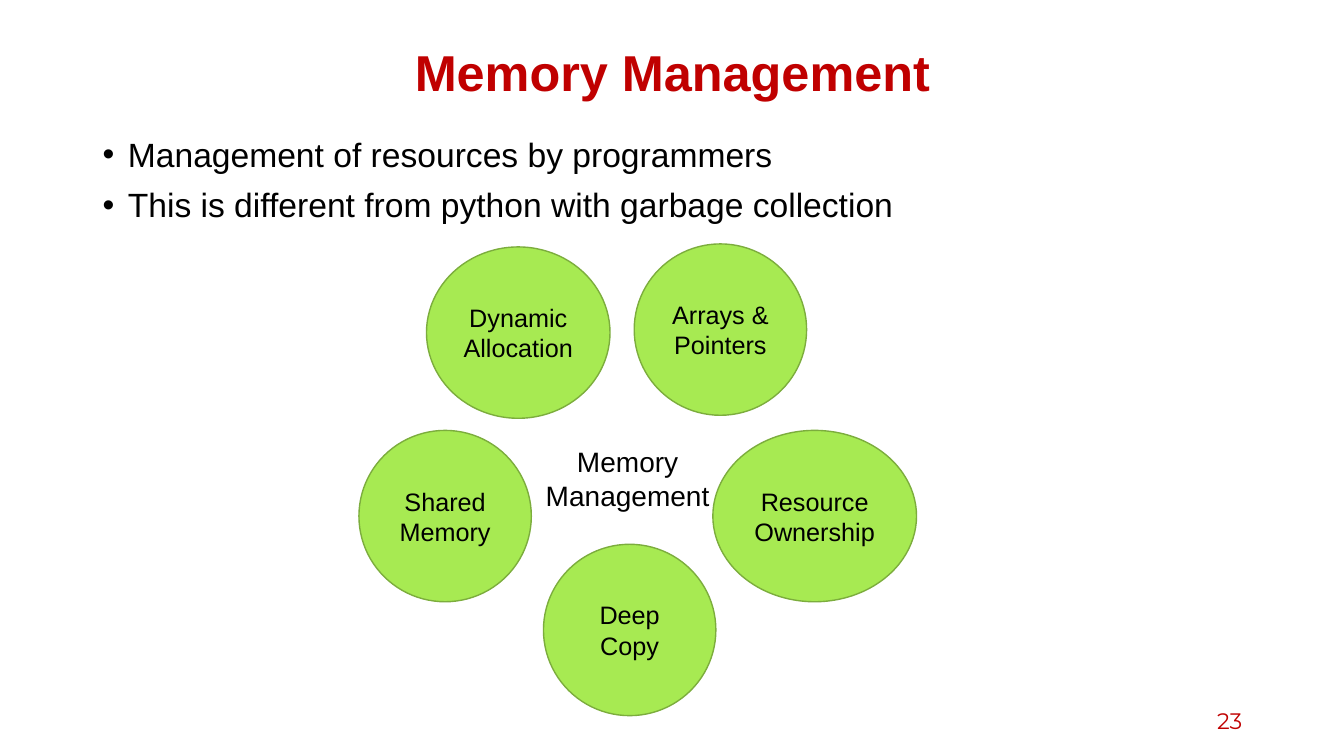
"""Build the Memory Management slide with its five topic circles."""
import pptx
import pptx.dml.color
import pptx.enum.shapes
import pptx.enum.text
import pptx.oxml.ns
import pptx.util
from lxml import etree

RED = pptx.dml.color.RGBColor(0xC0, 0x00, 0x00)
BLACK = pptx.dml.color.RGBColor(0x00, 0x00, 0x00)
GREEN = pptx.dml.color.RGBColor(0xA7, 0xEA, 0x52)
DARK_GREEN = pptx.dml.color.RGBColor(0x7C, 0xAD, 0x3D)

ALIGN = pptx.enum.text.PP_ALIGN
ANCHOR = pptx.enum.text.MSO_ANCHOR
CELL = 0.1
CIRCLE_ROWS = 17

TOPICS = [
    ("Shared Memory", 44.15, 51.2, 17.1),
    ("Dynamic Allocation", 51.4, 33, 18.2),
    ("Arrays & Pointers", 71.45, 32.7, 17.1),
    ("Resource Ownership", 80.8, 51.2, 20.2),
    ("Deep Copy", 62.45, 62.5, 17.1),
]


class Canvas:
    def __init__(self, slide, font="Arial"):
        self.slide = slide
        self.font = font

    def box(self, *cells):
        return [pptx.util.Inches(c * CELL) for c in cells]

    def fill_text(self, sp, lines, size, color=BLACK, align=ALIGN.CENTER,
                  anchor=ANCHOR.MIDDLE, font=None, bold=False):
        tf = sp.text_frame
        tf.word_wrap = True
        tf.vertical_anchor = anchor
        tf.text = "\n".join(lines)
        for p in tf.paragraphs:
            p.alignment = align
            for r in p.runs:
                r.font.name = font or self.font
                r.font.size = pptx.util.Pt(size)
                r.font.bold = bold
                r.font.color.rgb = color
        return sp

    def text(self, cells, lines, size, **style):
        sp = self.slide.shapes.add_textbox(*self.box(*cells))
        return self.fill_text(sp, lines, size, **style)

    def title(self, cells, line):
        sp = self.text(cells, [line], 36, color=RED, bold=True)
        sp.text_frame.paragraphs[0].line_spacing = 0.9

    def bullets(self, cells, lines):
        sp = self.text(cells, lines, 24, align=ALIGN.LEFT, anchor=ANCHOR.TOP)
        indent = pptx.util.Inches(0.25)
        for p in sp.text_frame.paragraphs:
            p.line_spacing = 0.9
            p.space_before = pptx.util.Pt(10)
            pPr = p._p.get_or_add_pPr()
            pPr.set("marL", str(indent))
            pPr.set("indent", str(-indent))
            etree.SubElement(pPr, pptx.oxml.ns.qn("a:buFont"), typeface="Arial")
            etree.SubElement(pPr, pptx.oxml.ns.qn("a:buChar"), char="•")

    def circle(self, label, x, y, width):
        cells = self.box(x - width / 2, y - CIRCLE_ROWS / 2, width, CIRCLE_ROWS)
        sp = self.slide.shapes.add_shape(
            pptx.enum.shapes.MSO_SHAPE.OVAL, *cells)
        sp.shadow.inherit = False
        sp.fill.solid()
        sp.fill.fore_color.rgb = GREEN
        sp.line.color.rgb = DARK_GREEN
        sp.line.width = pptx.util.Pt(1)
        self.fill_text(sp, [label], 18)
        sp.text_frame.margin_left = sp.text_frame.margin_right = pptx.util.Inches(0.05)


def main():
    prs = pptx.Presentation()
    prs.slide_width = pptx.util.Inches(13.33)
    prs.slide_height = pptx.util.Inches(7.5)
    canvas = Canvas(prs.slides.add_slide(prs.slide_layouts[6]))
    canvas.title((9.2, 4, 115, 7), "Memory Management")
    canvas.bullets((9.2, 13.2, 115, 55.1), [
        "Management of resources by programmers",
        "This is different from python with garbage collection",
    ])
    canvas.text((94.2, 69.5, 30, 4), ["23"], 16, color=RED,
                align=ALIGN.RIGHT, font="Montserrat")
    for topic in TOPICS:
        canvas.circle(*topic)
    canvas.text((52.5, 43.6, 19.5, 7.7), ["Memory", "Management"], 20,
                anchor=ANCHOR.TOP)
    prs.save("out.pptx")


if __name__ == "__main__":
    main()
